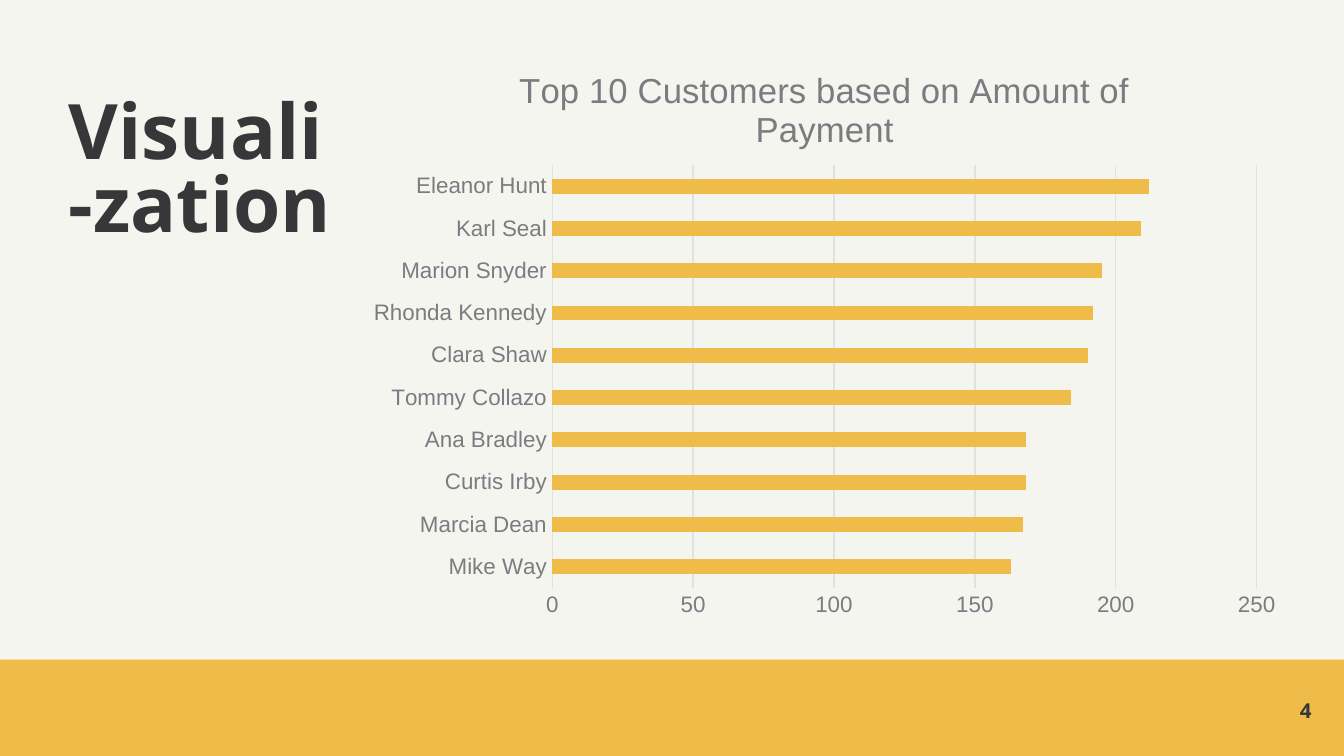
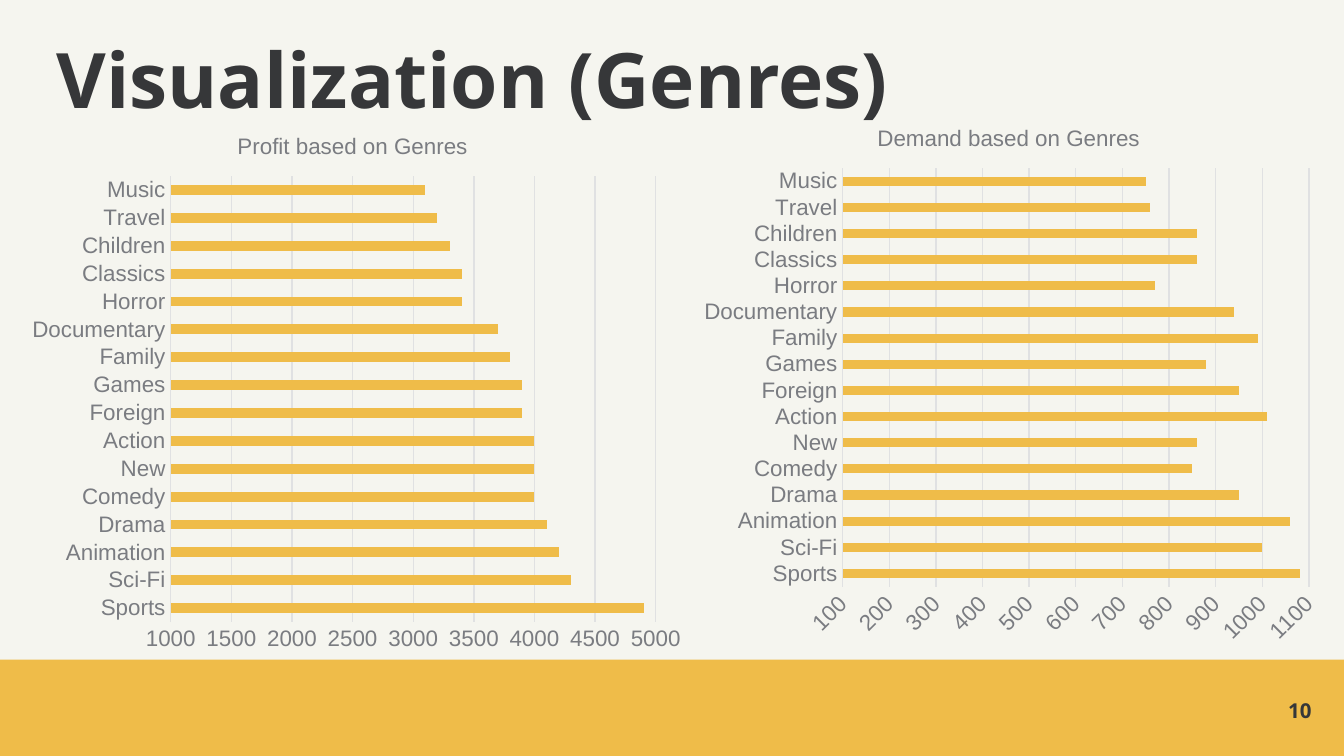
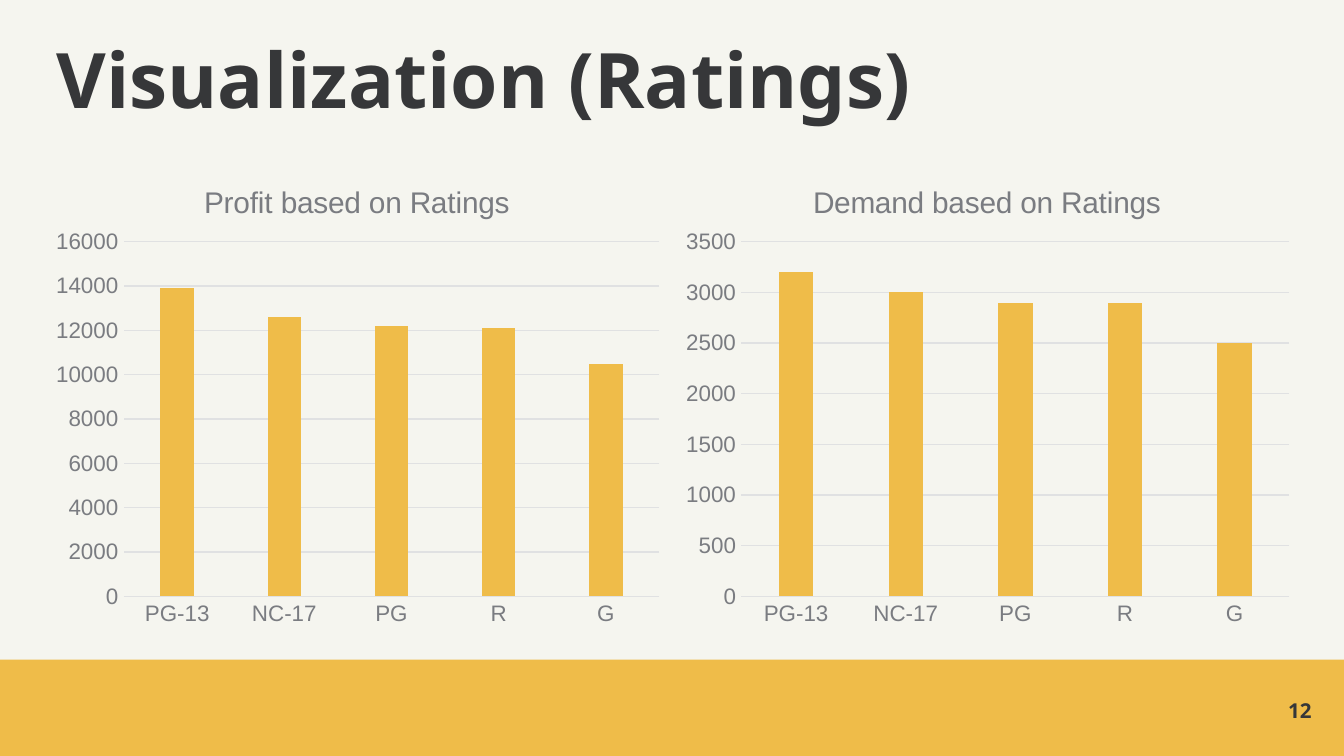
from lxml import etree
from pptx import Presentation
from pptx.chart.data import CategoryChartData
from pptx.dml.color import RGBColor
from pptx.enum.chart import XL_CHART_TYPE, XL_TICK_MARK
from pptx.enum.shapes import MSO_SHAPE
from pptx.enum.text import MSO_ANCHOR, MSO_AUTO_SIZE, PP_ALIGN
from pptx.oxml.ns import qn
from pptx.util import Cm, Pt

BAR = XL_CHART_TYPE.BAR_CLUSTERED
COLUMN = XL_CHART_TYPE.COLUMN_CLUSTERED
NO_TICK = XL_TICK_MARK.NONE
RECT = MSO_SHAPE.RECTANGLE
MIDDLE = MSO_ANCHOR.MIDDLE
NO_FIT = MSO_AUTO_SIZE.NONE
RIGHT = PP_ALIGN.RIGHT

# Shared look
PAPER, GOLD, INK, GREY, RULE = "F5F5EF", "EFBC49", "363739", "7A7C81", "E0E1E2"
HEAD_FONT, CHART_FONT = "Noto Sans", "Arial"
WIDTH, HEIGHT, BAND_TOP = 25.4, 14.29, 12.47
WIDE_TITLE = (1.07, 0.74, 16.84, 1.8)

# Chart contents
CUSTOMERS = {
    "Mike Way": 163, "Marcia Dean": 167, "Curtis Irby": 168, "Ana Bradley": 168,
    "Tommy Collazo": 184, "Clara Shaw": 190, "Rhonda Kennedy": 192,
    "Marion Snyder": 195, "Karl Seal": 209, "Eleanor Hunt": 212,
}
GENRES = ["Sports", "Sci-Fi", "Animation", "Drama", "Comedy", "New", "Action", "Foreign",
          "Games", "Family", "Documentary", "Horror", "Classics", "Children", "Travel", "Music"]
GENRE_PROFIT = [4900, 4300, 4200, 4100, 4000, 4000, 4000, 3900,
                3900, 3800, 3700, 3400, 3400, 3300, 3200, 3100]
GENRE_DEMAND = [1080, 1000, 1060, 950, 850, 860, 1010, 950,
                880, 990, 940, 770, 860, 860, 760, 750]
RATINGS = ["PG-13", "NC-17", "PG", "R", "G"]
RATING_PROFIT = [13900, 12600, 12200, 12100, 10500]
RATING_DEMAND = [3200, 3000, 2900, 2900, 2500]


def rgb(value):
    return RGBColor.from_string(value)


def style_font(font, name, size, color, bold=False):
    font.name, font.size, font.bold = name, Pt(size), bold
    font.color.rgb = rgb(color)


def set_text(sp, text, size):
    """Bold heading text without margins, centred vertically."""
    tf = sp.text_frame
    tf.text = text
    tf.word_wrap = True
    tf.auto_size = NO_FIT
    tf.vertical_anchor = MIDDLE
    tf.margin_left = tf.margin_right = tf.margin_top = tf.margin_bottom = 0
    p = tf.paragraphs[0]
    style_font(p.runs[0].font, HEAD_FONT, size, INK, True)
    return p


def add_slide(prs, title, box, number):
    """Slide with title, bottom band and page number."""
    s = prs.slides.add_slide(prs.slide_layouts[5])
    sp = s.shapes.title
    sp.left, sp.top, sp.width, sp.height = map(Cm, box)
    p = set_text(sp, title, 41)
    p.alignment = PP_ALIGN.LEFT
    p.line_spacing = 0.8

    band = s.shapes.add_shape(RECT, 0, Cm(BAND_TOP), Cm(WIDTH), Cm(HEIGHT - BAND_TOP))
    band.shadow.inherit = False
    band.fill.solid()
    band.fill.fore_color.rgb = rgb(GOLD)
    band.line.fill.background()

    page = s.shapes.add_textbox(Cm(23.27), Cm(13.18), Cm(1.52), Cm(0.51))
    set_text(page, str(number), 11).alignment = RIGHT
    return s


def place_plot(chart, plot_box):
    """Fix the inner plot area, in fractions of the chart."""
    area = chart._chartSpace.chart.plotArea
    for old in area.findall(qn("c:layout")):
        area.remove(old)
    layout = etree.Element(qn("c:layout"))
    area.insert(0, layout)
    manual = etree.SubElement(layout, qn("c:manualLayout"))
    settings = [("layoutTarget", "inner"), ("xMode", "edge"), ("yMode", "edge")]
    for tag, val in settings + list(zip("xywh", plot_box)):
        etree.SubElement(manual, qn("c:" + tag)).set("val", str(val))


def style_axes(chart, scale):
    cat, val = chart.category_axis, chart.value_axis
    for axis in (cat, val):
        axis.major_tick_mark = axis.minor_tick_mark = NO_TICK
        style_font(axis.tick_labels.font, CHART_FONT, 12, GREY)
    val.minimum_scale, val.maximum_scale, val.major_unit = scale
    val.has_major_gridlines = True
    cat.has_major_gridlines = False
    val.format.line.fill.background()
    for line in (cat.format.line, val.major_gridlines.format.line):
        line.color.rgb = rgb(RULE)
        line.width = Pt(0.75)


def add_chart(s, kind, box, plot_box, title, title_size, cats, vals, scale):
    data = CategoryChartData()
    data.categories = cats
    data.add_series("Series 1", vals)
    chart = s.shapes.add_chart(kind, *map(Cm, box), data).chart
    style_font(chart.font, CHART_FONT, 10, INK)
    chart.has_legend = False

    chart.has_title = True
    tf = chart.chart_title.text_frame
    tf.text = title
    style_font(tf.paragraphs[0].runs[0].font, CHART_FONT, title_size, GREY)

    style_axes(chart, scale)
    place_plot(chart, plot_box)
    plot = chart.plots[0]
    plot.vary_by_categories = False
    plot.gap_width, plot.overlap = (182, 0) if kind == BAR else (219, -27)
    fill = plot.series[0].format.fill
    fill.solid()
    fill.fore_color.rgb = rgb(GOLD)
    return chart


def main():
    prs = Presentation()
    prs.slide_width, prs.slide_height = Cm(WIDTH), Cm(HEIGHT)
    background = prs.slide_master.background.fill
    background.solid()
    background.fore_color.rgb = rgb(PAPER)

    # Customers
    s = add_slide(prs, "Visuali-zation", (1.3, 1.6, 5.08, 3.38), 4)
    add_chart(s, BAR, (6.71, 0.79, 17.75, 11.1), (0.21, 0.21, 0.75, 0.72),
              "Top 10 Customers based on Amount of Payment", 18.6,
              list(CUSTOMERS), list(CUSTOMERS.values()), (0, 250, 50))

    # Genres
    s = add_slide(prs, "Visualization (Genres)", WIDE_TITLE, 10)
    add_chart(s, BAR, (0.3, 2.08, 12.73, 10.41), (0.23, 0.12, 0.72, 0.81),
              "Profit based on Genres", 12, GENRES, GENRE_PROFIT, (1000, 5000, 500))
    chart = add_chart(s, BAR, (13.03, 1.93, 12.07, 10.41), (0.24, 0.12, 0.73, 0.76),
                      "Demand based on Genres", 12, GENRES, GENRE_DEMAND, (100, 1100, 100))
    # Slanted labels keep the dense scale readable
    labels = chart.value_axis._element.find(qn("c:txPr")).find(qn("a:bodyPr"))
    labels.set("rot", str(-45 * 60000))

    # Ratings: two charts side by side
    s = add_slide(prs, "Visualization (Ratings)", WIDE_TITLE, 12)
    ratings = [
        ("Profit based on Ratings", RATING_PROFIT, (0, 16000, 2000), (0.13, 0.17, 0.85, 0.75)),
        ("Demand based on Ratings", RATING_DEMAND, (0, 3500, 500), (0.11, 0.17, 0.87, 0.75)),
    ]
    width = 11.91
    for i, (title, vals, scale, plot_box) in enumerate(ratings):
        box = (WIDTH / 2 + (i - 1) * width, 3.05, width, 8.94)
        add_chart(s, COLUMN, box, plot_box, title, 16, RATINGS, vals, scale)

    prs.save("out.pptx")


main()
